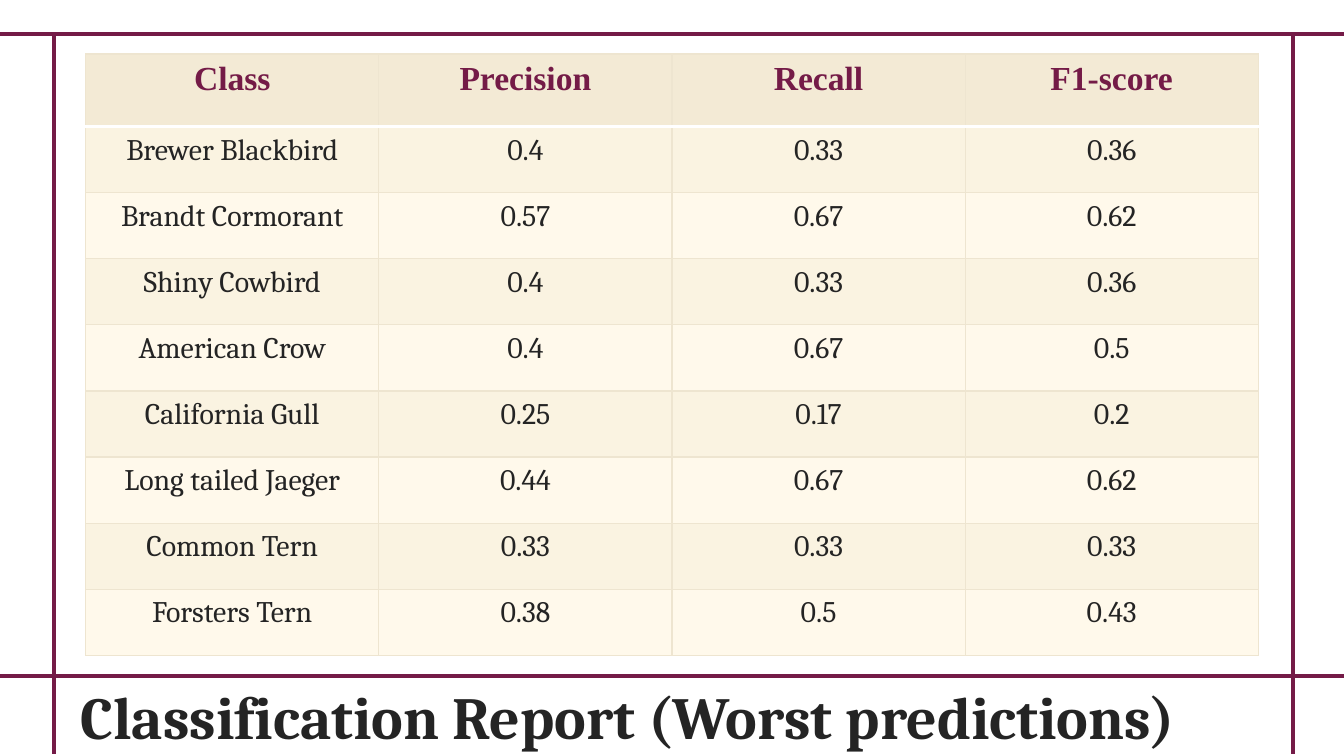
import dataclasses

import lxml.etree
import pptx
import pptx.dml.color
import pptx.enum.shapes
import pptx.enum.text
import pptx.oxml.ns
import pptx.util

Cm = pptx.util.Cm
Pt = pptx.util.Pt
Color = pptx.dml.color.RGBColor.from_string
qn = pptx.oxml.ns.qn


@dataclasses.dataclass(frozen=True)
class Theme:
    accent: str = "741B47"
    ink: str = "242424"
    header_fill: str = "F3EAD5"
    band_fills: tuple = ("FAF3E1", "FFF9EB")
    grid: str = "EEE5D0"
    header_rule: str = "FFFFFF"
    body_font: str = "Cambria"
    header_font: str = "Times New Roman"
    title_size: float = 32
    header_size: float = 18
    body_size: float = 16
    frame_width: float = 2.25
    grid_width: float = 0.75
    header_rule_width: float = 2


theme = Theme()


def style_text(text_frame, name, size, color, bold):
    for span in text_frame.paragraphs[0].runs:
        span.font.name = name
        span.font.size = Pt(size)
        span.font.bold = bold
        span.font.color.rgb = Color(color)


def add_border(cell, side, color, width):
    """Draw one side (L, R, T or B); call in that order, before filling the cell."""
    line = lxml.etree.SubElement(
        cell._tc.get_or_add_tcPr(), qn(f"a:ln{side}"), w=str(Pt(width)))
    fill = lxml.etree.SubElement(line, qn("a:solidFill"))
    lxml.etree.SubElement(fill, qn("a:srgbClr"), val=color)


deck = pptx.Presentation()
deck.slide_width = Cm(25.4)
deck.slide_height = Cm(14.29)
page = deck.slides.add_slide(deck.slide_layouts[5])

# Frame lines: start x, start y, end x, end y
frame_lines = [
    (-0.05, 0.64, 25.43, 0.64),
    (1.02, 0.64, 1.02, 14.25),
    (0, 12.78, 25.48, 12.78),
    (24.43, 0.64, 24.43, 14.25),
]
for ends in frame_lines:
    connector = page.shapes.add_connector(
        pptx.enum.shapes.MSO_CONNECTOR.STRAIGHT, *map(Cm, ends))
    connector.line.color.rgb = Color(theme.accent)
    connector.line.width = Pt(theme.frame_width)
    lxml.etree.SubElement(connector._element.spPr, qn("a:effectLst"))

# Title
title = page.shapes.title
title.left, title.top, title.width, title.height = map(Cm, (1.27, 12.95, 22.28, 1.5))
frame = title.text_frame
frame.text = "Classification Report (Worst predictions)"
frame.word_wrap = True
frame.auto_size = pptx.enum.text.MSO_AUTO_SIZE.NONE
frame.vertical_anchor = pptx.enum.text.MSO_ANCHOR.BOTTOM
frame.margin_left = frame.margin_right = Cm(0.25)
frame.margin_top = frame.margin_bottom = Cm(0.25)
frame.paragraphs[0].alignment = pptx.enum.text.PP_ALIGN.LEFT
style_text(frame, theme.body_font, theme.title_size, theme.ink, True)

# Score table
scores = [
    ("Class", "Precision", "Recall", "F1-score"),
    ("Brewer Blackbird", "0.4", "0.33", "0.36"),
    ("Brandt Cormorant", "0.57", "0.67", "0.62"),
    ("Shiny Cowbird", "0.4", "0.33", "0.36"),
    ("American Crow", "0.4", "0.67", "0.5"),
    ("California Gull", "0.25", "0.17", "0.2"),
    ("Long tailed Jaeger", "0.44", "0.67", "0.62"),
    ("Common Tern", "0.33", "0.33", "0.33"),
    ("Forsters Tern", "0.38", "0.5", "0.43"),
]
column_width, header_height, row_height = 5.54, 1.37, 1.25
table = page.shapes.add_table(
    len(scores), len(scores[0]), Cm(1.62), Cm(1.02),
    Cm(column_width * len(scores[0])),
    Cm(header_height + row_height * (len(scores) - 1))).table
for column in table.columns:
    column.width = Cm(column_width)

for row_index, values in enumerate(scores):
    is_header = row_index == 0
    table.rows[row_index].height = Cm(header_height if is_header else row_height)
    grid = (theme.grid, theme.grid_width)
    rule = (theme.header_rule, theme.header_rule_width)
    borders = {"L": grid, "R": grid,
               "T": rule if row_index == 1 else grid,
               "B": rule if is_header else grid}
    for column_index, value in enumerate(values):
        cell = table.cell(row_index, column_index)
        cell.text_frame.text = value
        cell.text_frame.paragraphs[0].alignment = pptx.enum.text.PP_ALIGN.CENTER
        if is_header:
            style_text(cell.text_frame, theme.header_font, theme.header_size,
                       theme.accent, True)
            fill_color = theme.header_fill
        else:
            style_text(cell.text_frame, theme.body_font, theme.body_size,
                       theme.ink, False)
            fill_color = theme.band_fills[(row_index - 1) % 2]
        for side, (color, width) in borders.items():
            add_border(cell, side, color, width)
        cell.fill.solid()
        cell.fill.fore_color.rgb = Color(fill_color)

deck.save("out.pptx")
